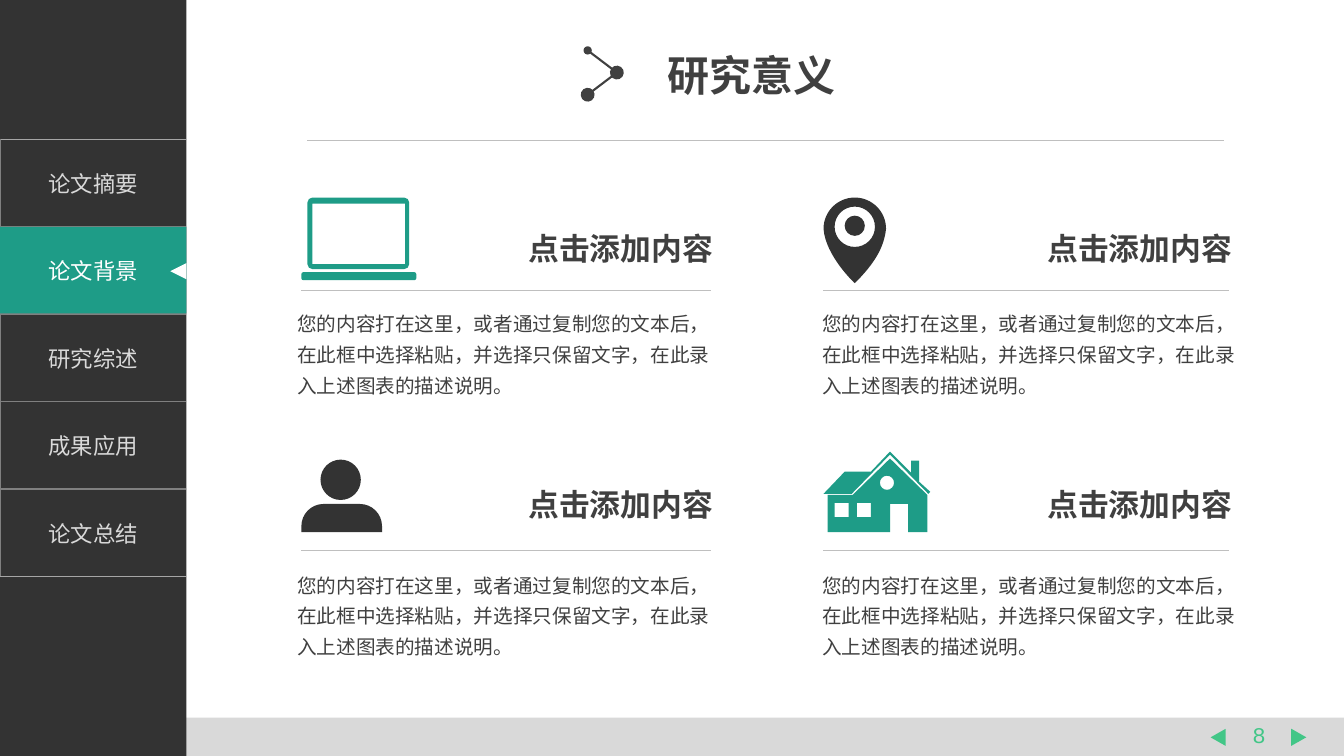
"""Build the research significance slide with its navigation bar and four topics."""
from dataclasses import dataclass
from itertools import chain, product
from math import cos, pi, sin, tan

from pptx import Presentation
from pptx.dml.color import RGBColor
from pptx.enum.lang import MSO_LANGUAGE_ID as Lang
from pptx.enum.shapes import MSO_CONNECTOR as Connector, MSO_SHAPE as Shape
from pptx.enum.text import MSO_ANCHOR as Anchor, MSO_AUTO_SIZE as AutoSize, PP_ALIGN as Align
from pptx.oxml.ns import qn
from pptx.oxml.xmlchemy import OxmlElement
from pptx.util import Inches, Pt

Point = tuple[float, float]
Step = tuple[Point, ...]
Contour = list[Step]

COLORS = {
    "dark": "333333", "teal": "1E9C87", "green": "42C687", "white": "FFFFFF",
    "footer": "D9D9D9", "nav_text": "D9D9D9", "text": "404040", "rule": "BFBFBF",
    "nav_line": "808080", "nav_edge": "A6A6A6",
}
SLIDE_WIDTH = 40 / 3
CJK = "Noto Sans CJK SC"
SECTIONS = ["论文摘要", "论文背景", "研究综述", "成果应用", "论文总结"]
ACTIVE = 1
HEADING = "点击添加内容"
BODY = "您的内容打在这里，或者通过复制您的文本后，在此框中选择粘贴，并选择只保留文字，在此录入上述图表的描述说明。"


@dataclass(frozen=True)
class Column:
    rule_left: float
    rule_right: float
    heading: float
    body: float


@dataclass(frozen=True)
class Row:
    heading: float
    rule: float
    body: float


@dataclass(frozen=True)
class Icon:
    contours: list[Contour]
    color: str


@dataclass(frozen=True)
class Block:
    left: float
    top: float
    width: float
    height: float
    color: str
    shape: Shape = Shape.RECTANGLE
    rotation: float = 0


COLUMNS = [Column(2.99, 7.05, 5.12, 2.85), Column(8.17, 12.19, 10.27, 8.06)]
ROWS = [Row(2.23, 2.88, 2.98), Row(4.77, 5.46, 5.57)]


def rgb(name: str) -> RGBColor:
    return RGBColor.from_string(COLORS[name])


def corners(*points: Point) -> Contour:
    return [(point,) for point in points]


def arc(x: float, y: float, radius: float, start: int = 0, end: int = 360) -> Contour:
    pull = 4 / 3 * tan(pi / 8)

    def at(angle: int, tangent: float = 0) -> Point:
        a = angle * pi / 180
        return x + radius * (cos(a) - tangent * sin(a)), y + radius * (sin(a) + tangent * cos(a))

    return [(at(start),)] + [(at(a, pull), at(a + 90, -pull), at(a + 90)) for a in range(start, end, 90)]


def box(x: float, y: float, width: float, height: float, radius: float = 0) -> Contour:
    left, top, right, bottom = x + radius, y + radius, x + width - radius, y + height - radius
    centers = [(left, top), (right, top), (right, bottom), (left, bottom)]
    if not radius:
        return corners(*centers)
    return [s for i, (cx, cy) in enumerate(centers) for s in arc(cx, cy, radius, 180 + 90 * i, 270 + 90 * i)]


LAPTOP = Icon([box(2.99, 2.7, 1.14, 0.08, 0.02), box(3.05, 1.96, 1.01, 0.71, 0.05),
               box(3.1, 2.02, 0.92, 0.6)], "teal")
PIN = Icon([[*arc(8.48, 2.27, 0.31, 180, 360), ((8.77, 2.46), (8.67, 2.62), (8.48, 2.81)),
             ((8.48, 2.81), (8.19, 2.54), (8.17, 2.27))],
            arc(8.48, 2.25, 0.2), arc(8.48, 2.24, 0.1)], "dark")
PERSON = Icon([[*corners((2.99, 5.28)), *arc(3.21, 5.22, 0.22, 180, 270),
                *arc(3.57, 5.22, 0.22, 270, 360), *corners((3.79, 5.28))], arc(3.38, 4.76, 0.2)], "dark")
HOUSE = Icon([
    corners((9.2, 4.91), (8.83, 4.55), (8.46, 4.91), (8.21, 4.91), (8.21, 5.28), (8.83, 5.28),
            (8.83, 5), (9.01, 5), (9.01, 5.28), (9.2, 5.28)),
    box(8.28, 4.99, 0.14, 0.14), box(8.5, 4.99, 0.14, 0.14), arc(8.8, 4.79, 0.07),
    corners((9.23, 4.88), (9.21, 4.9), (8.83, 4.51), (8.45, 4.9), (8.17, 4.9), (8.38, 4.68),
            (8.64, 4.68), (8.83, 4.48), (9.04, 4.69), (9.04, 4.57), (9.12, 4.57), (9.12, 4.78)),
], "teal")


def write(frame, text: str, *, size: float, color: str, font: str = CJK, bold: bool = False,
          align: Align = Align.LEFT, spacing: float | None = None) -> None:
    paragraph = frame.paragraphs[0]
    paragraph.alignment, paragraph.line_spacing = align, spacing
    run = paragraph.add_run()
    run.text = text
    run.font.name, run.font.size, run.font.bold = font, Pt(size), bold
    run.font.color.rgb = rgb(color)
    run.font.language_id = Lang.SIMPLIFIED_CHINESE
    east_asian = OxmlElement("a:ea")
    east_asian.set("typeface", font)
    run.font._element.find(qn("a:latin")).addnext(east_asian)


def add_label(slide, left: float, top: float, width: float, height: float, text: str, *,
              wrap: bool = False, anchor: Anchor = Anchor.TOP, **style) -> None:
    frame = slide.shapes.add_textbox(*map(Inches, (left, top, width, height))).text_frame
    frame.word_wrap, frame.vertical_anchor = wrap, anchor
    frame.auto_size = AutoSize.SHAPE_TO_FIT_TEXT
    write(frame, text, **style)


def paint(shape, color: str) -> None:
    shape.shadow.inherit = False
    shape.fill.solid()
    shape.fill.fore_color.rgb = rgb(color)
    shape.line.fill.background()


def add_block(slide, block: Block):
    frame = map(Inches, (block.left, block.top, block.width, block.height))
    shape = slide.shapes.add_shape(block.shape, *frame)
    shape.rotation = block.rotation
    paint(shape, block.color)
    return shape


def add_icon(slide, icon: Icon) -> None:
    outlines = [[(Inches(x), Inches(y)) for x, y in chain(*contour)] for contour in icon.contours]
    builder = slide.shapes.build_freeform(*outlines[0][0])
    for index, (start, *rest) in enumerate(outlines):
        if index:
            builder.move_to(*start)
        builder.add_line_segments(rest)
    shape = builder.convert_to_shape()
    segments = iter(list(shape._element.iter(qn("a:lnTo"))))
    for step in chain(*(contour[1:] for contour in icon.contours)):
        parts = [next(segments) for _ in step]
        if len(parts) == 3:
            curve = OxmlElement("a:cubicBezTo")
            parts[0].addprevious(curve)
            for part in parts:
                curve.append(part[0])
                part.getparent().remove(part)
    paint(shape, icon.color)


def add_line(slide, start: Point, end: Point, color: str = "rule", width: float = 0.5,
             dots: dict[str, str] | None = None) -> None:
    line = slide.shapes.add_connector(Connector.STRAIGHT, *map(Inches, start + end))
    line.line.color.rgb = rgb(color)
    line.line.width = Pt(width)
    for tag, size in (dots or {}).items():
        dot = OxmlElement(f"a:{tag}")
        for key, value in (("type", "oval"), ("w", size), ("len", size)):
            dot.set(key, value)
        line.line._get_or_add_ln().append(dot)
    line._element.spPr.append(OxmlElement("a:effectLst"))


def add_border(cell, side: str, color: str | None) -> None:
    border = OxmlElement(f"a:ln{side}")
    border.set("w", str(Pt(1)))
    fill = OxmlElement("a:solidFill" if color else "a:noFill")
    if color:
        value = OxmlElement("a:srgbClr")
        value.set("val", COLORS[color])
        fill.append(value)
    border.append(fill)
    cell._tc.get_or_add_tcPr().append(border)


def add_navigation(slide) -> None:
    table = slide.shapes.add_table(len(SECTIONS), 1, *map(Inches, (0, 1.38, 1.85, 4.34))).table
    table.first_row = table.horz_banding = False
    last = len(SECTIONS) - 1
    for index, section in enumerate(SECTIONS):
        cell = table.cell(index, 0)
        cell.vertical_anchor = Anchor.MIDDLE
        write(cell.text_frame, section, size=16, color="nav_text", align=Align.CENTER)
        sides = {"L": "nav_line", "R": None, "T": "nav_line" if index else "nav_edge",
                 "B": "nav_edge" if index == last else "nav_line"}
        for side, color in sides.items():
            add_border(cell, side, color)
        cell.fill.background()


def main() -> None:
    deck = Presentation()
    deck.slide_width, deck.slide_height = Inches(SLIDE_WIDTH), Inches(7.5)
    slide = deck.slides.add_slide(deck.slide_layouts[6])
    add_block(slide, Block(0, 7.12, SLIDE_WIDTH, 0.38, "footer"))
    add_label(slide, 12.25, 7.11, 0.48, 0.37, "8", size=16, color="green", font="Courier New", align=Align.CENTER)
    add_block(slide, Block(0, 0, 1.85, 7.5, "dark"))
    add_navigation(slide)
    for left, rotation in ((12.8, 90), (12, 270)):
        add_block(slide, Block(left, 7.24, 0.17, 0.15, "green", Shape.ISOSCELES_TRIANGLE, rotation))
    add_line(slide, (3.05, 1.39), (12.14, 1.39))
    tab = add_block(slide, Block(0, 2.25, 1.85, 0.86, "teal"))
    tab.text_frame.vertical_anchor = Anchor.MIDDLE
    write(tab.text_frame, SECTIONS[ACTIVE], size=16, color="white", align=Align.CENTER)
    add_block(slide, Block(1.69, 2.61, 0.16, 0.16, "white", Shape.ISOSCELES_TRIANGLE, 270))
    for icon in (HOUSE, LAPTOP, PERSON, PIN):
        add_icon(slide, icon)
    cells = list(product(ROWS, COLUMNS))
    for row, column in cells:
        add_line(slide, (column.rule_left, row.rule), (column.rule_right, row.rule))
    for row, column in cells:
        add_label(slide, column.heading, row.heading, 2.05, 0.47, HEADING, size=22, color="text",
                  bold=True, align=Align.RIGHT, anchor=Anchor.MIDDLE)
    for row, column in cells:
        add_label(slide, column.body, row.body, 4.44, 1.02, BODY, size=14, color="text", wrap=True, spacing=1.3)
    add_label(slide, 6.52, 0.44, 1.88, 0.61, "研究意义", size=30, color="text", font="Arial", bold=True)
    for start, end in (((5.83, 0.5), (6.12, 0.72)), ((6.12, 0.72), (5.83, 0.94))):
        add_line(slide, start, end, "text", 1.5, {"headEnd": "med", "tailEnd": "lg"})
    deck.save("out.pptx")


if __name__ == "__main__":
    main()
